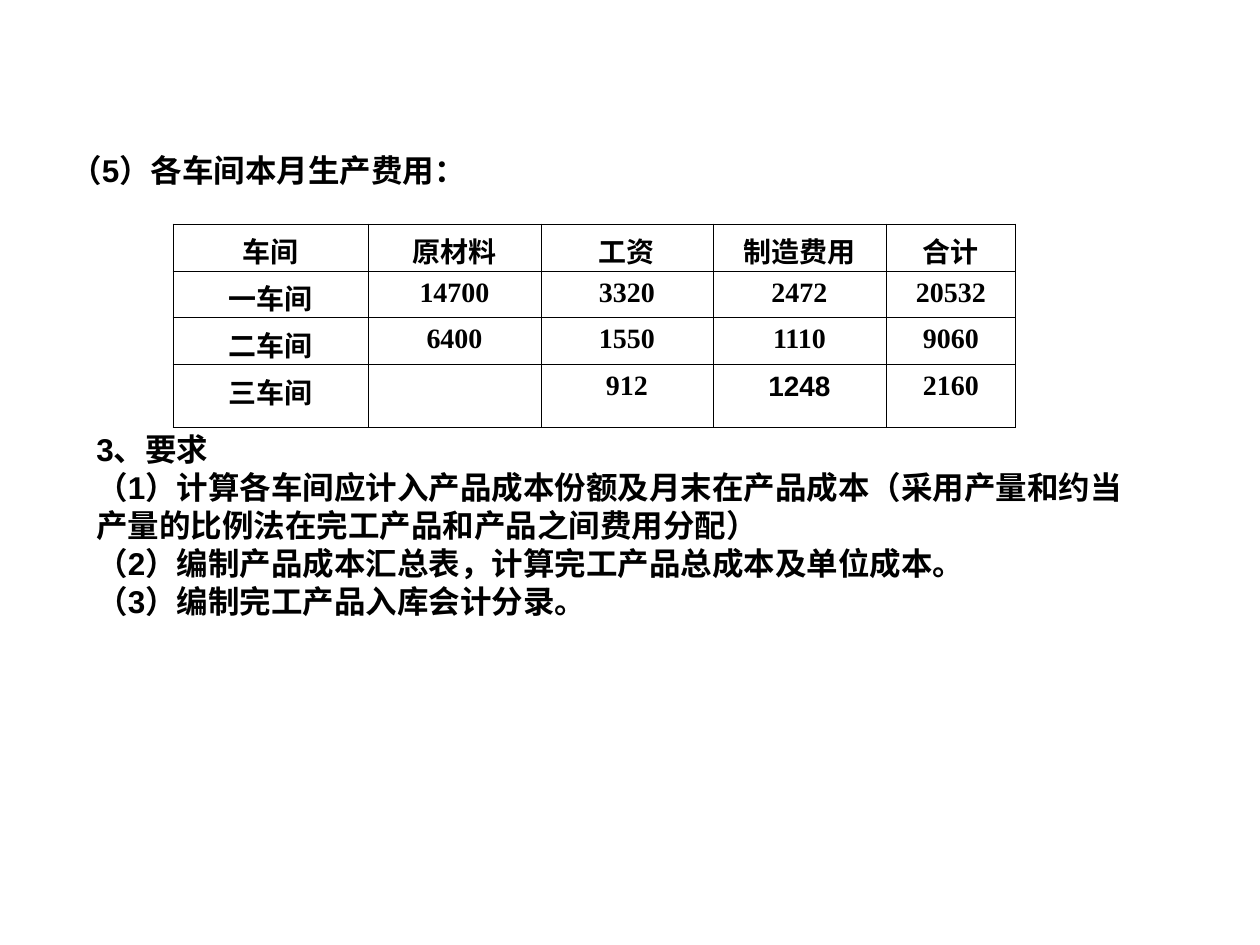
from dataclasses import dataclass

from lxml import etree
from pptx import Presentation
from pptx import util as u
from pptx.dml.color import RGBColor
from pptx.enum import lang, text
from pptx.oxml import ns

EMU_PER_PX = 914400 / 126


def px(length):
    return u.Emu(round(length * EMU_PER_PX))


@dataclass(frozen=True)
class Theme:
    ink: str = "000000"
    body_font: str = "Arial"
    table_font: str = "Times New Roman"
    body_size: int = 18
    table_size: int = 16
    border_width: float = 0.45


class SlideWriter:
    def __init__(self, slide, theme):
        self.slide = slide
        self.theme = theme

    def style(self, para, font_name, size):
        font = para.font
        font.name, font.size, font.bold = font_name, u.Pt(size), True
        font.color.rgb = RGBColor.from_string(self.theme.ink)
        font.language_id = lang.MSO_LANGUAGE_ID.SIMPLIFIED_CHINESE

    def text_box(self, left, top, width, height, lines, wrap=True):
        box = self.slide.shapes.add_textbox(px(left), px(top), px(width), px(height))
        frame = box.text_frame
        frame.word_wrap = wrap
        frame.vertical_anchor = text.MSO_ANCHOR.MIDDLE
        frame.auto_size = text.MSO_AUTO_SIZE.SHAPE_TO_FIT_TEXT
        frame.text = "\n".join(lines)
        for para in frame.paragraphs:
            self.style(para, self.theme.body_font, self.theme.body_size)

    def border(self, cell):
        """Draw a thin line on all four sides of a cell."""
        properties = cell._tc.get_or_add_tcPr()
        for index, side in enumerate(("lnL", "lnR", "lnT", "lnB")):
            line = etree.Element(ns.qn(f"a:{side}"), w=str(u.Pt(self.theme.border_width)))
            fill = etree.SubElement(line, ns.qn("a:solidFill"))
            etree.SubElement(fill, ns.qn("a:srgbClr"), val=self.theme.ink)
            properties.insert(index, line)

    def table(self, left, top, widths, heights, rows, special_fonts):
        """Add a bordered table; special_fonts maps (row, column) to a font."""
        table = self.slide.shapes.add_table(
            len(heights), len(widths), px(left), px(top), px(sum(widths)), px(sum(heights))
        ).table
        table.first_row = table.horz_banding = False
        for column, width in zip(table.columns, widths):
            column.width = px(width)
        for row, height in zip(table.rows, heights):
            row.height = px(height)
        for r, values in enumerate(rows):
            for c, value in enumerate(values):
                cell = table.cell(r, c)
                cell.text = value
                cell.margin_bottom = 0  # lets the tall Chinese line fit its row
                cell.fill.background()
                self.border(cell)
                para = cell.text_frame.paragraphs[0]
                para.alignment = text.PP_ALIGN.CENTER
                font_name = special_fonts.get((r, c), self.theme.table_font)
                self.style(para, font_name, self.theme.table_size)


COSTS = [
    ("车间", "原材料", "工资", "制造费用", "合计"),
    ("一车间", "14700", "3320", "2472", "20532"),
    ("二车间", "6400", "1550", "1110", "9060"),
    ("三车间", "", "912", "1248", "2160"),
]
REQUIREMENTS = [
    "3、要求",
    "（1）计算各车间应计入产品成本份额及月末在产品成本"
    "（采用产量和约当产量的比例法在完工产品和产品之间费用分配）",
    "（2）编制产品成本汇总表，计算完工产品总成本及单位成本。",
    "（3）编制完工产品入库会计分录。",
]


def main():
    deck = Presentation()
    deck.slide_width, deck.slide_height = px(1260), px(945)
    theme = Theme()
    writer = SlideWriter(deck.slides.add_slide(deck.slide_layouts[6]), theme)
    writer.table(173, 224, [195, 173, 172, 173, 130], [47, 46, 47, 63],
                 COSTS, {(3, 3): theme.body_font})
    writer.text_box(58, 145, 436, 50, ["（5）各车间本月生产费用："], wrap=False)
    writer.text_box(84, 424, 1070, 202, REQUIREMENTS)
    deck.save("out.pptx")


if __name__ == "__main__":
    main()
